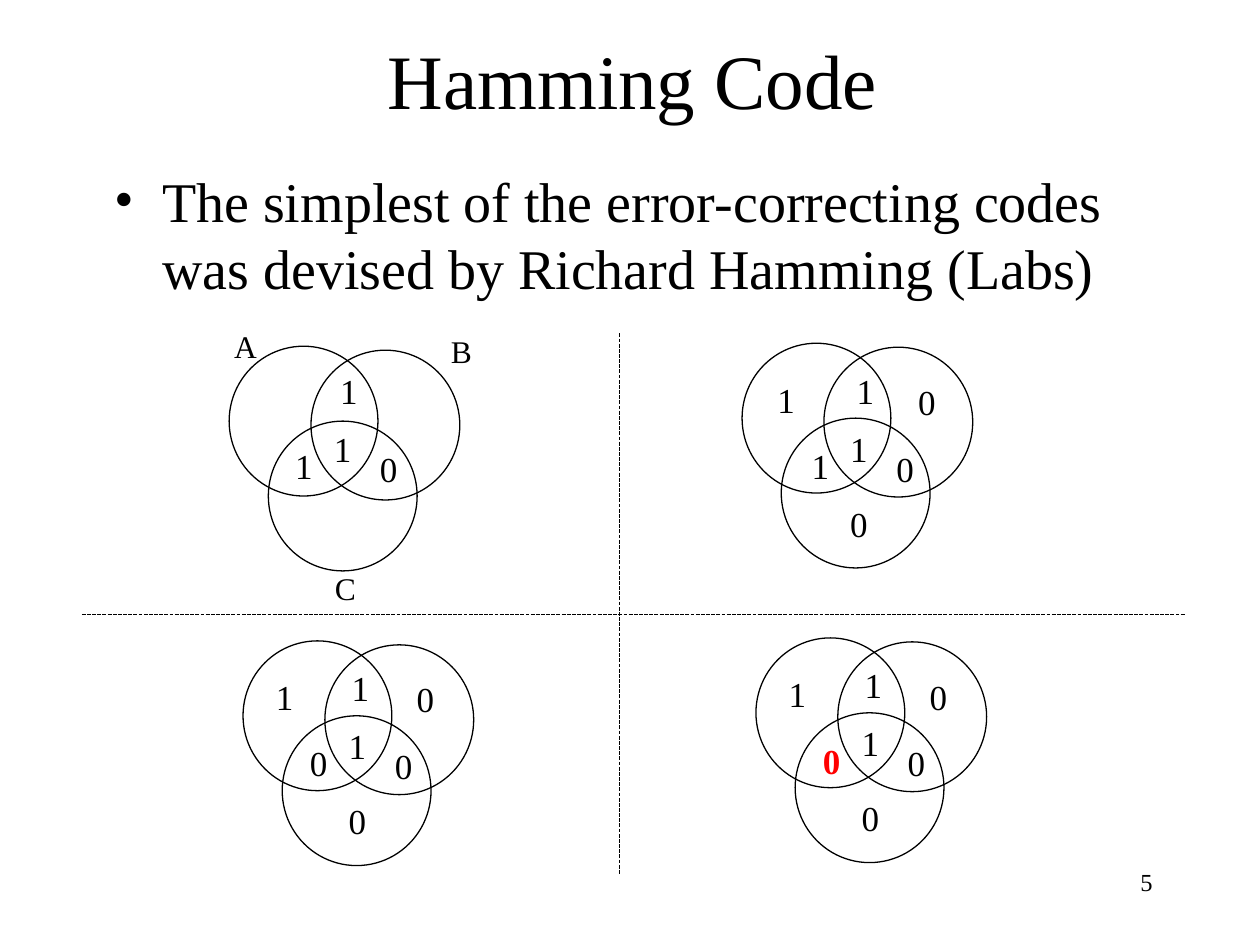
from dataclasses import dataclass

from lxml.etree import SubElement
from pptx import Presentation
from pptx.dml.color import RGBColor
from pptx.enum.dml import MSO_LINE
from pptx.enum.shapes import MSO_CONNECTOR, MSO_SHAPE
from pptx.enum.text import MSO_ANCHOR, MSO_AUTO_SIZE, PP_ALIGN
from pptx.oxml.ns import qn
from pptx.slide import Slide
from pptx.text.text import _Paragraph as Paragraph
from pptx.util import Cm, Pt


@dataclass(frozen=True)
class Theme:
    font: str = "Times New Roman"
    ink: RGBColor = RGBColor(0, 0, 0)
    error: RGBColor = RGBColor(255, 0, 0)
    title: int = 44
    body: int = 32
    digit: int = 20
    label: int = 18
    page: int = 14
    line: float = 0.75


@dataclass(frozen=True)
class Box:
    left: float
    top: float
    width: float
    height: float


@dataclass(frozen=True)
class Venn:
    left: float
    top: float
    center_left: float
    center_top: float
    overlap_shift: float
    bits: dict[str, str]
    flipped: str = ""


@dataclass(frozen=True)
class SetLabel:
    text: str
    box: Box


THEME = Theme()
CIRCLE_WIDTH, CIRCLE_HEIGHT = 3.0, 3.02
CIRCLE_OFFSETS = [(0, 0), (1.65, 0.08), (0.79, 1.51)]
DIGIT_WIDTH, DIGIT_HEIGHT = 0.86, 1.12
DIGIT_OFFSETS = {
    "ABC": (0, 0),
    "AB": (0, -1.17),
    "AC": (-0.78, 0.35),
    "BC": (0.93, 0.4),
    "A": (-1.47, -0.99),
    "B": (1.37, -0.94),
    "C": (0, 1.51),
}

DATA = {"AB": "1", "ABC": "1", "AC": "1", "BC": "0"}
ENCODED = DATA | {"A": "1", "B": "0", "C": "0"}
RECEIVED = ENCODED | {"AC": "0"}
VENNS = [
    Venn(4.62, 6.98, 6.48, 8.49, 0.13, DATA),
    Venn(14.96, 6.92, 16.89, 8.49, 0.13, ENCODED),
    Venn(4.9, 12.92, 6.78, 14.48, 0.06, RECEIVED),
    Venn(15.24, 12.86, 17.12, 14.43, 0.06, RECEIVED, "AC"),
]
SET_LABELS = [
    SetLabel("A", Box(4.47, 6.46, 0.96, 1.02)),
    SetLabel("B", Box(8.84, 6.57, 0.92, 1.02)),
    SetLabel("C", Box(6.5, 11.35, 0.92, 1.02)),
]


def add_text(slide: Slide, text: str, box: Box, size: int, wrap: bool = False) -> Paragraph:
    shape = slide.shapes.add_textbox(Cm(box.left), Cm(box.top), Cm(box.width), Cm(box.height))
    frame = shape.text_frame
    frame.word_wrap = wrap
    frame.auto_size = MSO_AUTO_SIZE.NONE if wrap else MSO_AUTO_SIZE.SHAPE_TO_FIT_TEXT
    paragraph = frame.paragraphs[0]
    paragraph.text = text
    paragraph.font.name = THEME.font
    paragraph.font.size = Pt(size)
    paragraph.font.color.rgb = THEME.ink
    return paragraph


def add_title(slide: Slide, text: str) -> None:
    paragraph = add_text(slide, text, Box(1.96, 0, 21.59, 3.18), THEME.title, wrap=True)
    paragraph.alignment = PP_ALIGN.CENTER
    slide.shapes[-1].text_frame.vertical_anchor = MSO_ANCHOR.MIDDLE


def add_bullet(slide: Slide, text: str) -> None:
    paragraph = add_text(slide, text, Box(2.06, 3.23, 21.59, 3.28), THEME.body, wrap=True)
    paragraph.space_before = Pt(8)
    properties = paragraph._p.get_or_add_pPr()
    properties.set("marL", str(Cm(0.96)))
    properties.set("indent", str(Cm(-0.96)))
    defaults = properties.find(qn("a:defRPr"))
    for tag, name, value in [("a:buFont", "typeface", THEME.font), ("a:buChar", "char", "•")]:
        bullet = SubElement(properties, qn(tag))
        bullet.set(name, value)
        defaults.addprevious(bullet)


def add_circle(slide: Slide, left: float, top: float) -> None:
    shape = slide.shapes.add_shape(
        MSO_SHAPE.OVAL, Cm(left), Cm(top), Cm(CIRCLE_WIDTH), Cm(CIRCLE_HEIGHT)
    )
    shape.shadow.inherit = False
    shape.fill.background()
    shape.line.color.rgb = THEME.ink
    shape.line.width = Pt(THEME.line)


def add_venn(slide: Slide, venn: Venn) -> None:
    for across, down in CIRCLE_OFFSETS:
        add_circle(slide, venn.left + across, venn.top + down)
    for region, bit in venn.bits.items():
        across, down = DIGIT_OFFSETS[region]
        if region == "AB":
            across += venn.overlap_shift
        box = Box(venn.center_left + across, venn.center_top + down, DIGIT_WIDTH, DIGIT_HEIGHT)
        paragraph = add_text(slide, bit, box, THEME.digit)
        if region == venn.flipped:
            paragraph.font.bold = True
            paragraph.font.color.rgb = THEME.error


def add_divider(slide: Slide, x1: float, y1: float, x2: float, y2: float) -> None:
    connector = slide.shapes.add_connector(
        MSO_CONNECTOR.STRAIGHT, Cm(x1), Cm(y1), Cm(x2), Cm(y2)
    )
    connector.line.color.rgb = THEME.ink
    connector.line.width = Pt(THEME.line)
    connector.line.dash_style = MSO_LINE.SQUARE_DOT
    SubElement(connector._element.spPr, qn("a:effectLst"))


def main() -> None:
    presentation = Presentation()
    presentation.slide_width, presentation.slide_height = Cm(25.4), Cm(19.05)
    slide = presentation.slides.add_slide(presentation.slide_layouts[6])
    page_number = add_text(slide, "5", Box(18.21, 17.35, 5.28, 1.27), THEME.page, wrap=True)
    page_number.alignment = PP_ALIGN.RIGHT
    add_title(slide, "Hamming Code")
    add_bullet(
        slide,
        "The simplest of the error-correcting codes was devised by Richard Hamming (Labs)",
    )
    for venn in VENNS:
        add_venn(slide, venn)
    for label in SET_LABELS:
        add_text(slide, label.text, label.box, THEME.label)
    add_divider(slide, 1.65, 12.39, 23.88, 12.39)
    add_divider(slide, 12.49, 6.72, 12.49, 17.63)
    presentation.save("out.pptx")


if __name__ == "__main__":
    main()
